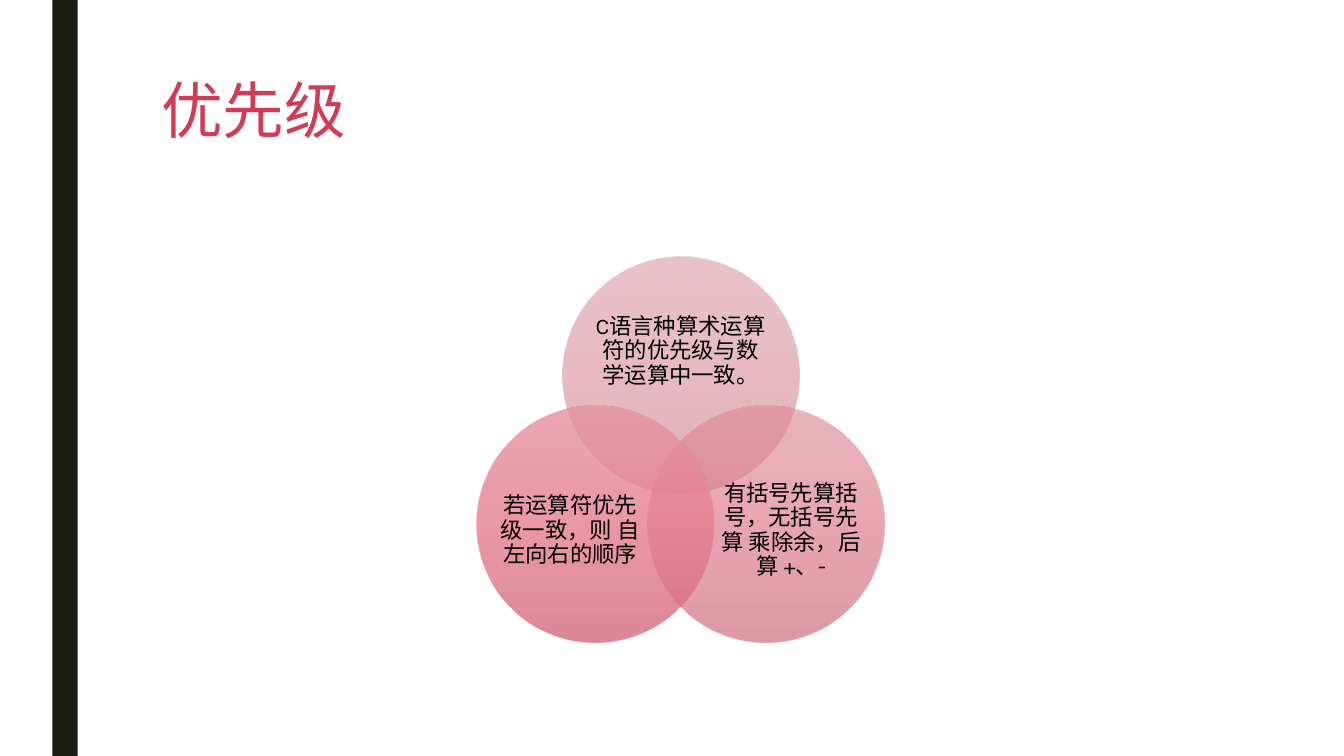
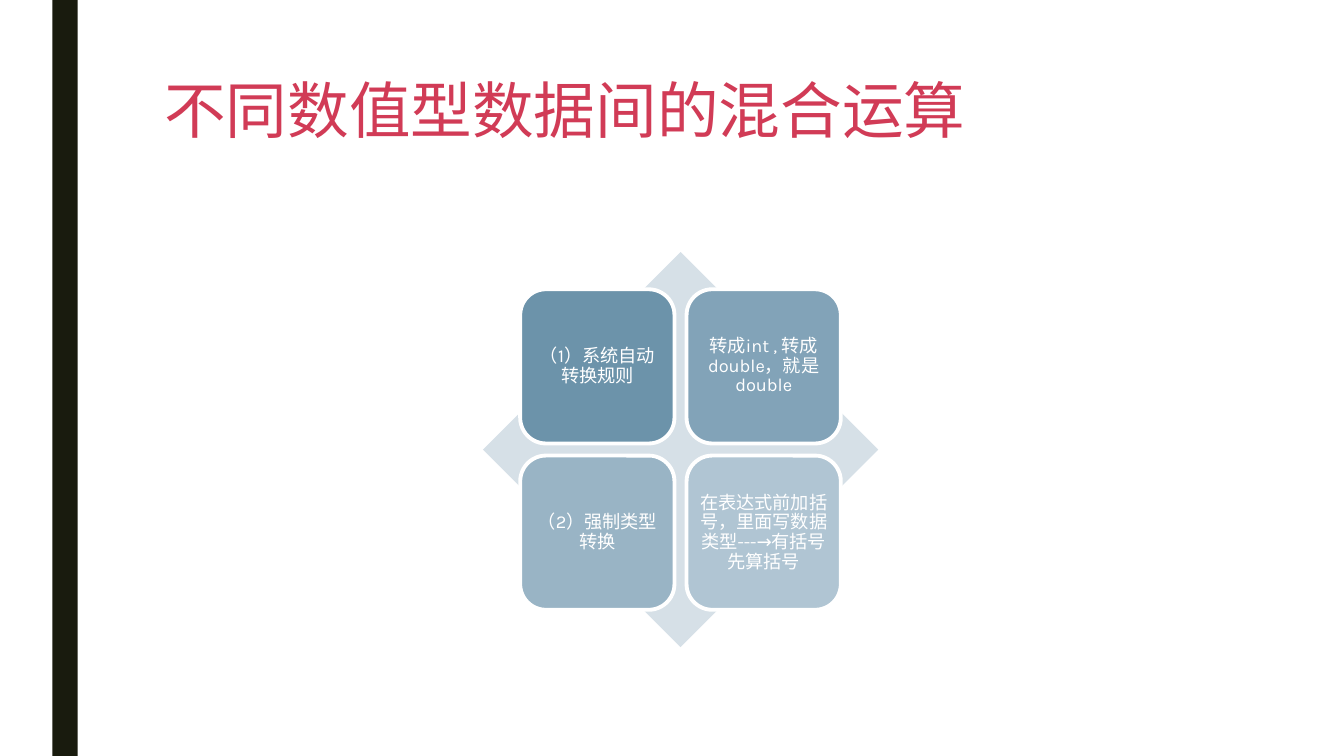
from math import cos, radians, sin

from lxml.etree import SubElement
from pptx import Presentation
from pptx.dml.color import RGBColor
from pptx.enum.shapes import MSO_SHAPE as Shape
from pptx.enum.text import MSO_ANCHOR as Anchor, MSO_AUTO_SIZE as AutoSize, PP_ALIGN as Align
from pptx.oxml.ns import qn
from pptx.util import Inches, Pt

WIDTH, HEIGHT = 13.33, 7.5
CENTER = 6.75
TITLE_FONT, BODY_FONT = "Noto Sans CJK JP", "Karla"
BLACK, WHITE, BAND, TITLE, DIAMOND = "000000", "FFFFFF", "191B0E", "D13B56", "D6E0E7"

# Text, direction from the middle, text shift (share of diameter), text size, gradient, opacity
CIRCLES = [
    ("C语言种算术运算符的优先级与数学运算中一致。", -90, (0, -0.1), (1.72, 1.06),
     ("D48995", "D17384", "BF6172"), 50),
    ("有括号先算括号，无括号先算 乘除余，后算 +、-", 30, (0.105, 0.03), (1.41, 1.29),
     ("DE8E9B", "DD788A", "CA6577"), 65),
    ("若运算符优先级一致，则 自左向右的顺序", 150, (-0.105, 0.03), (1.41, 1.29),
     ("E794A2", "E77F92", "D36B7E"), 80),
]
TILES = [
    ("（1）系统自动转换规则", "6C93AA"),
    ("转成int , 转成double，就是double", "82A3B8"),
    ("（2）强制类型转换", "99B4C5"),
    ("在表达式前加括号，里面写数据类型---→有括号先算括号", "B0C5D3"),
]


def color(value):
    return RGBColor.from_string(value)


def centered(x, y, width, height):
    """Left, top, width and height of a box around a middle point."""
    return [Inches(n) for n in (x - width / 2, y - height / 2, width, height)]


def add_shape(page, kind, bounds, fill=None):
    shape = page.shapes.add_shape(kind, *bounds)
    shape.shadow.inherit = False
    shape.line.fill.background()
    if fill:
        shape.fill.solid()
        shape.fill.fore_color.rgb = color(fill)
    return shape


def fill_gradient(shape, stops, opacity):
    """Fill from top to bottom with evenly spaced, see-through colours."""
    shape.fill.gradient()
    shape.fill.gradient_angle = 270
    stop_list = shape.element.spPr.find(qn("a:gradFill")).find(qn("a:gsLst"))
    for old in list(stop_list):
        stop_list.remove(old)
    for index, value in enumerate(stops):
        stop = SubElement(stop_list, qn("a:gs"), pos=str(index * 100000 // (len(stops) - 1)))
        tint = SubElement(stop, qn("a:srgbClr"), val=value)
        SubElement(tint, qn("a:alpha"), val=str(opacity * 1000))


def write(frame, text, font, size, fill, align, spacing, anchor):
    frame.word_wrap = True
    frame.auto_size = AutoSize.NONE
    frame.vertical_anchor = anchor
    para = frame.paragraphs[0]
    para.alignment = align
    para.line_spacing = spacing
    span = para.add_run()
    span.text = text
    span.font.name = font
    span.font.size = Pt(size)
    span.font.color.rgb = color(fill)
    latin = span.font._element.find(qn("a:latin"))
    east_asian = latin.makeelement(qn("a:ea"), {"typeface": font})
    latin.addnext(east_asian)


def write_label(frame, text, size, fill, margin):
    frame.margin_left = frame.margin_right = Inches(margin)
    frame.margin_top = frame.margin_bottom = Inches(margin)
    write(frame, text, BODY_FONT, size, fill, Align.CENTER, 0.9, Anchor.MIDDLE)


def add_page(deck, title, left):
    page = deck.slides.add_slide(deck.slide_layouts[5])
    box = page.shapes.title
    box.left, box.top, box.width, box.height = (Inches(n) for n in (left, 0.75, 10.5, 1.62))
    write(box.text_frame, title, TITLE_FONT, 44, TITLE, Align.LEFT, 0.89, Anchor.TOP)
    return page


def put_band_on_master(deck, page):
    """Draw the side band and move it to the master, so that all pages show it."""
    band = add_shape(page, Shape.RECTANGLE, centered(0.645, HEIGHT / 2, 0.25, HEIGHT), BAND)
    band.element.nvSpPr.cNvPr.set("id", "20")
    deck.slide_master.shapes.element.append(band.element)


def add_venn(page, middle=4.705, diameter=2.35, reach=0.98):
    for text, angle, shift, text_size, stops, opacity in CIRCLES:
        x = CENTER + reach * cos(radians(angle))
        y = middle + reach * sin(radians(angle))
        circle = add_shape(page, Shape.OVAL, centered(x, y, diameter, diameter))
        fill_gradient(circle, stops, opacity)
        text_x, text_y = x + shift[0] * diameter, y + shift[1] * diameter
        box = page.shapes.add_textbox(*centered(text_x, text_y, *text_size))
        write_label(box.text_frame, text, 16, BLACK, 0)


def add_matrix(page, middle=4.46, side=1.53, pitch=1.65):
    add_shape(page, Shape.DIAMOND, centered(CENTER, middle, 3.92, 3.92), DIAMOND)
    for index, (text, fill) in enumerate(TILES):
        row, column = divmod(index, 2)
        x, y = CENTER + (column - 0.5) * pitch, middle + (row - 0.5) * pitch
        tile = add_shape(page, Shape.ROUNDED_RECTANGLE, centered(x, y, side, side), fill)
        tile.line.color.rgb = color(WHITE)
        tile.line.width = Pt(2.75)
        write_label(tile.text_frame, text, 13, WHITE, 0.05)


def main():
    deck = Presentation()
    deck.slide_width, deck.slide_height = Inches(WIDTH), Inches(HEIGHT)

    priority = add_page(deck, "优先级", 1.5)
    put_band_on_master(deck, priority)
    add_venn(priority)

    add_matrix(add_page(deck, "不同数值型数据间的混合运算", 1.53))
    deck.save("out.pptx")


if __name__ == "__main__":
    main()
